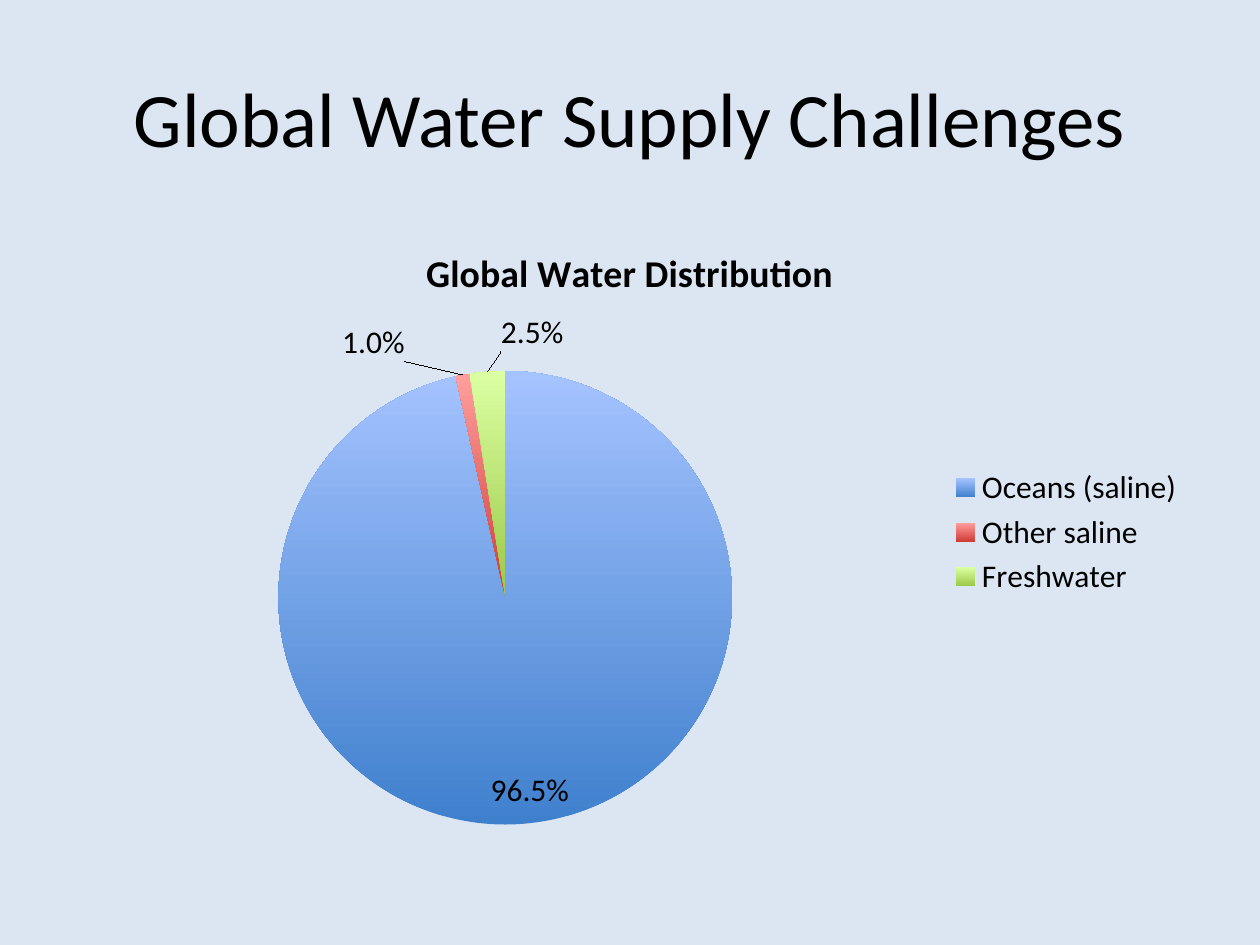
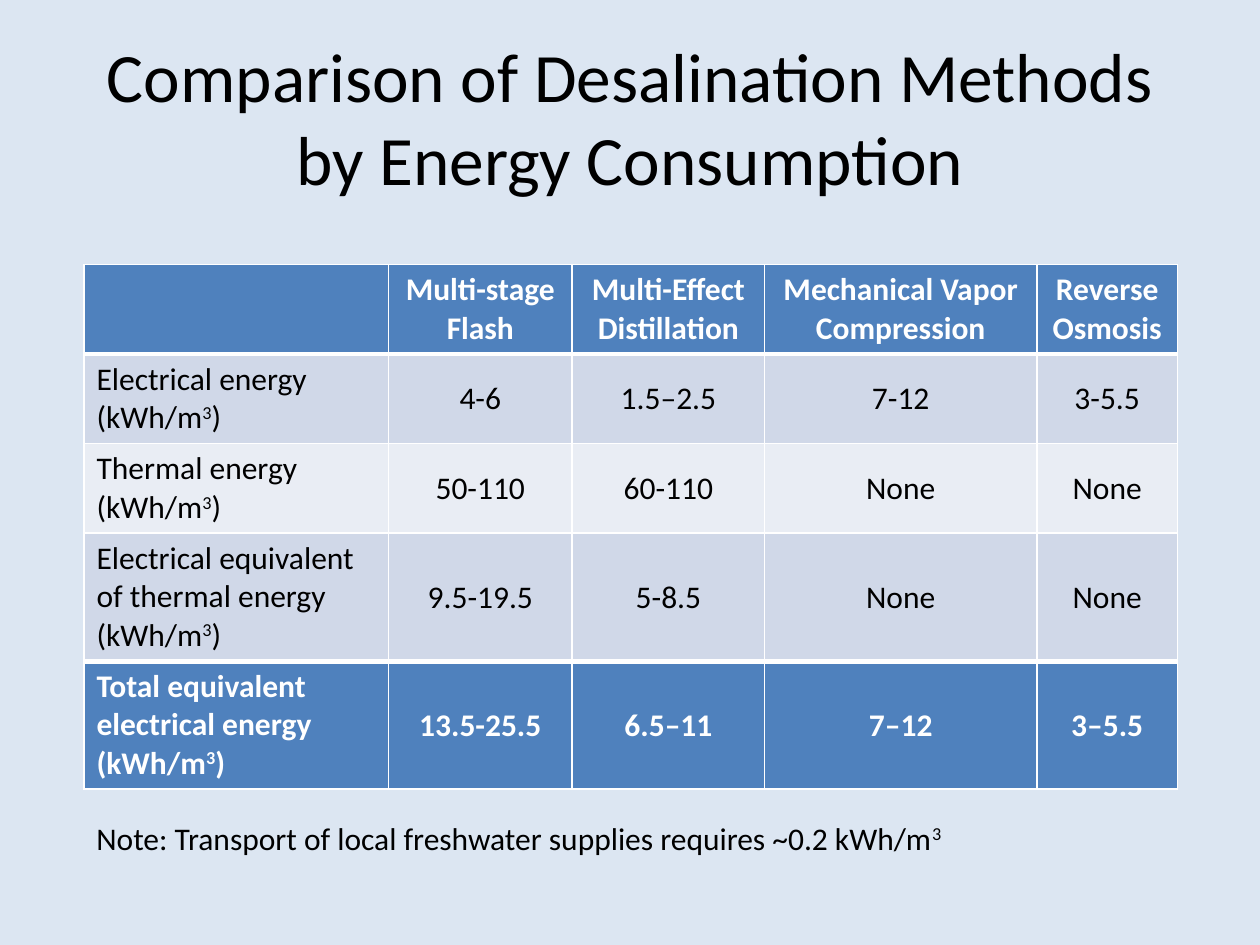
from pptx import Presentation
from pptx.chart.data import CategoryChartData
from pptx.dml.color import RGBColor
from pptx.enum.chart import XL_CHART_TYPE, XL_LABEL_POSITION, XL_LEGEND_POSITION
from pptx.enum.text import MSO_ANCHOR, PP_ALIGN
from pptx.oxml import parse_xml
from pptx.oxml.ns import nsdecls, qn
from pptx.util import Pt

FONT, BACK, INK, WHITE = "Calibri", "DCE6F2", "000000", "FFFFFF"
BLUE, BANDS = "4F81BD", ("D0D8E8", "E9EDF4")

WATER = {"Oceans (saline)": 96.5, "Other saline": 1, "Freshwater": 2.5}
SHADES = [("3F80CD", "A5C3FF"), ("CF3B37", "FF9F9D"), ("9BC847", "DBFFA3")]
NUDGES = {1: (-0.05, -0.01), 2: (0.04, -0.02)}

WIDTHS = (174, 105, 110, 155.5, 80.5)
HEIGHTS = (51, 51, 51, 73, 73)
ROWS = [
    ["", "Multi-stage Flash", "Multi-Effect Distillation",
     "Mechanical Vapor Compression", "Reverse Osmosis"],
    ["Electrical energy (kWh/m^3^)", "4-6", "1.5–2.5", "7-12", "3-5.5"],
    ["Thermal energy (kWh/m^3^)", "50-110", "60-110", "None", "None"],
    ["Electrical equivalent of thermal energy (kWh/m^3^)",
     "9.5-19.5", "5-8.5", "None", "None"],
    ["Total equivalent electrical energy (kWh/m^3^)",
     "13.5-25.5", "6.5–11", "7–12", "3–5.5"],
]


def color(code):
    return RGBColor.from_string(code)


def layout(x, y, extra=""):
    return (f'<c:layout {nsdecls("c")}><c:manualLayout>{extra}'
            f'<c:x val="{x}"/><c:y val="{y}"/>')


class Deck:
    """Holds the shared style and the current slide."""

    def __init__(self):
        self.prs = Presentation()
        self.prs.slide_width, self.prs.slide_height = Pt(720), Pt(540)
        fill = self.prs.slide_master.background.fill
        fill.solid()
        fill.fore_color.rgb = color(BACK)

    def style(self, font, size=18, ink=INK, bold=False):
        font.name, font.size, font.bold = FONT, Pt(size), bold
        font.color.rgb = color(ink)

    def label(self, frame, text, align=PP_ALIGN.LEFT, **look):
        para = frame.paragraphs[0]
        para.alignment = align
        self.style(para.font, **look)
        for n, part in enumerate(text.split("^")):
            if part:
                run = para.add_run()
                run.text = part
                if n % 2:
                    run.font._element.set("baseline", "30000")

    def slide(self, title, size):
        self.page = self.prs.slides.add_slide(self.prs.slide_layouts[5])
        head = self.page.shapes.title
        head.left, head.top, head.width, head.height = Pt(36), Pt(21.6), Pt(648), Pt(90)
        head.text_frame.vertical_anchor = MSO_ANCHOR.MIDDLE
        self.label(head.text_frame, title, PP_ALIGN.CENTER, size=size)

    def note(self, text, left, top, width, height):
        box = self.page.shapes.add_textbox(Pt(left), Pt(top), Pt(width), Pt(height))
        box.text_frame.word_wrap = False
        self.label(box.text_frame, text)

    def pie(self, title, values, left, top, width, height):
        data = CategoryChartData()
        data.categories = list(values)
        data.add_series(title, list(values.values()))
        chart = self.page.shapes.add_chart(
            XL_CHART_TYPE.PIE, Pt(left), Pt(top), Pt(width), Pt(height), data).chart
        self.style(chart.font)
        chart.has_title = True
        self.label(chart.chart_title.text_frame, title, PP_ALIGN.CENTER,
                   size=21.6, bold=True)
        chart.has_legend = True
        chart.legend.position = XL_LEGEND_POSITION.RIGHT
        chart.legend.include_in_layout = False
        self.style(chart.legend.font)
        plot = chart.plots[0]
        plot.vary_by_categories = True
        series = plot.series[0]
        for n, shades in enumerate(SHADES):
            fill = series.points[n].format.fill
            fill.gradient()
            fill.gradient_angle = 90
            for stop, shade in zip(fill.gradient_stops, shades):
                stop.color.rgb = color(shade)
        self.shares(series.data_labels)
        area = chart._chartSpace.chart.plotArea
        for old in area.findall(qn("c:layout")):
            area.remove(old)
        modes = ('<c:layoutTarget val="inner"/><c:xMode val="edge"/>'
                 '<c:yMode val="edge"/>')
        area.insert(0, parse_xml(
            layout(0.19, 0.24, modes) + '<c:w val="0.4"/><c:h val="0.73"/>'
            '</c:manualLayout></c:layout>'))

    def shares(self, labels):
        labels.show_value, labels.show_percentage = False, True
        labels.number_format, labels.number_format_is_linked = "0.0%", False
        labels.position = XL_LABEL_POSITION.BEST_FIT
        self.style(labels.font)
        flags = "".join(
            f'<c:show{name} val="{int(name == "Percent")}"/>' for name in
            ("LegendKey", "Val", "CatName", "SerName", "Percent", "BubbleSize"))
        for n, (idx, shift) in enumerate(NUDGES.items()):
            labels._element.insert(n, parse_xml(
                f'<c:dLbl {nsdecls("c")}><c:idx val="{idx}"/>{layout(*shift)}'
                '</c:manualLayout></c:layout>'
                '<c:numFmt formatCode="0.0%" sourceLinked="0"/>'
                f'<c:dLblPos val="bestFit"/>{flags}</c:dLbl>'))

    def table(self, rows, left, top):
        grid = self.page.shapes.add_table(
            len(rows), len(WIDTHS), Pt(left), Pt(top),
            Pt(sum(WIDTHS)), Pt(sum(HEIGHTS))).table
        grid.first_row = grid.horz_banding = False
        for col, width in zip(grid.columns, WIDTHS):
            col.width = Pt(width)
        last = len(rows) - 1
        for r, row in enumerate(rows):
            grid.rows[r].height = Pt(HEIGHTS[r])
            strong = r in (0, last)
            for c, text in enumerate(row):
                cell = grid.cell(r, c)
                self.edges(cell, 3 if r in (1, last) else 1,
                           3 if r in (0, last - 1) else 1)
                cell.fill.solid()
                cell.fill.fore_color.rgb = color(BLUE if strong else BANDS[(r - 1) % 2])
                if r and c:
                    cell.vertical_anchor = MSO_ANCHOR.MIDDLE
                self.label(cell.text_frame, text,
                           PP_ALIGN.CENTER if c else PP_ALIGN.LEFT,
                           ink=WHITE if strong else INK, bold=strong)

    def edges(self, cell, above, below):
        props = cell._tc.get_or_add_tcPr()
        for side, width in zip("LRTB", (1, 1, above, below)):
            props.append(parse_xml(
                f'<a:ln{side} {nsdecls("a")} w="{Pt(width)}"><a:solidFill>'
                f'<a:srgbClr val="{WHITE}"/></a:solidFill></a:ln{side}>'))


def main():
    deck = Deck()
    deck.slide("Global Water Supply Challenges", 44)
    deck.pie("Global Water Distribution", WATER, 36, 126, 648, 356.4)
    deck.slide("Comparison of Desalination Methods by Energy Consumption", 39.6)
    deck.table(ROWS, 48, 151.2)
    deck.note("Note: Transport of local freshwater supplies requires ~0.2 kWh/m^3",
              48, 464.4, 506, 29)
    deck.prs.save("out.pptx")


if __name__ == "__main__":
    main()
